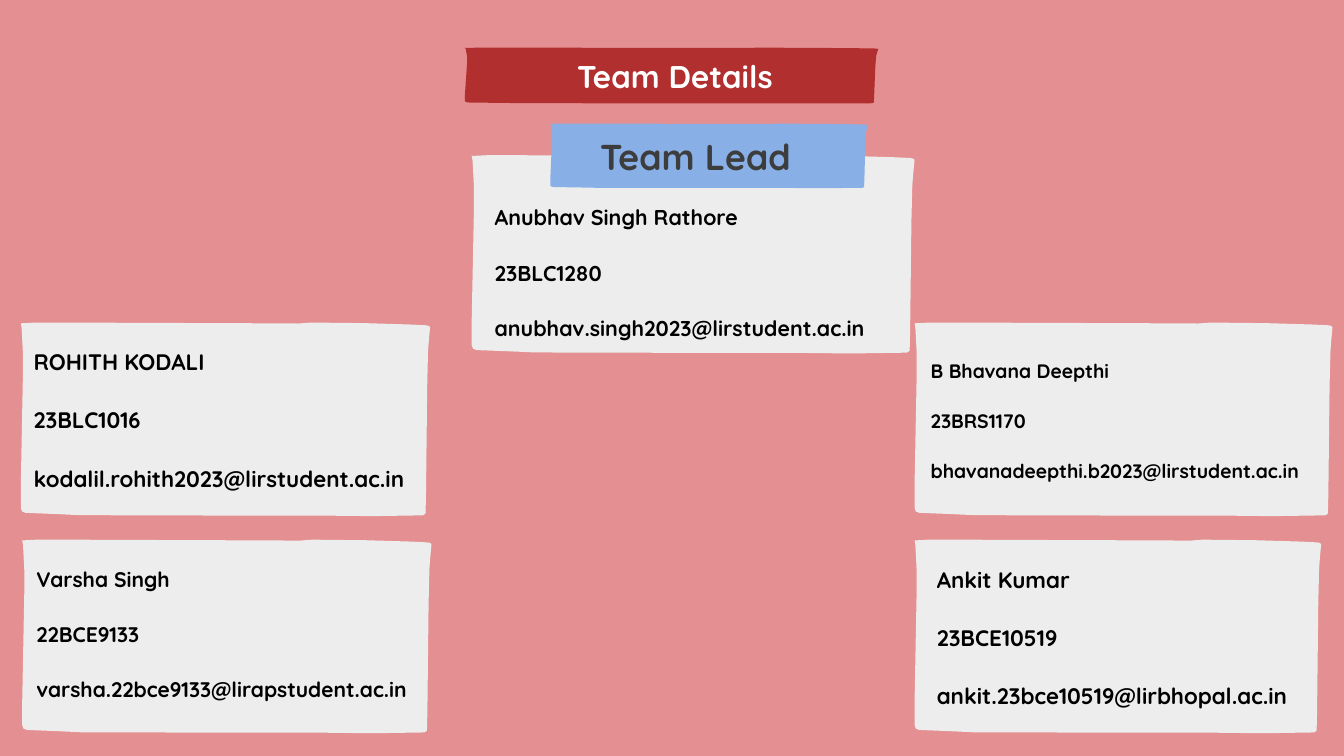
"""Build the team details slide with its lead and member cards."""
from pptx import Presentation
from pptx.dml.color import RGBColor
from pptx.enum.text import PP_ALIGN
from pptx.util import Pt

CENTER = PP_ALIGN.CENTER
JUSTIFY = PP_ALIGN.JUSTIFY

PINK = RGBColor(0xE4, 0x8F, 0x91)
RED = RGBColor(0xB2, 0x2F, 0x30)
BLUE = RGBColor(0x88, 0xB0, 0xE6)
PAPER = RGBColor(0xED, 0xED, 0xED)
WHITE = RGBColor(0xFF, 0xFF, 0xFF)
CHARCOAL = RGBColor(0x3D, 0x3D, 0x3D)
BLACK = RGBColor(0x00, 0x00, 0x00)

FONT = "Quicksand"
LINE_FACTOR = 1.3
CARD_HEIGHT = 207.4
UPPER_ROW, LOWER_ROW = 345.6, 578.2
RIGHT_COLUMN = 979.9

TORN_EDGE = (
    (997, 17), (989, 14), (951, 10), (839, 3), (709, 0), (678, 5), (614, 4),
    (476, 3), (108, 0), (34, 0), (0, 4), (2, 28), (5, 153), (5, 281),
    (0, 830), (0, 958), (3, 976), (11, 983), (94, 990), (143, 995),
    (499, 997), (729, 997), (857, 1000), (982, 996), (985, 993), (989, 986),
    (990, 892), (993, 330), (995, 150), (997, 94), (1000, 24),
)

MEMBERS = (
    ((22.3, UPPER_ROW, 438.5), (36, 370.8, 414), 24,
     ("ROHITH KODALI", "23BLC1016", "kodalil.rohith2023@lirstudent.ac.in")),
    ((RIGHT_COLUMN, LOWER_ROW, 435.6), (1003.7, 604.1, 392.4), 24,
     ("Ankit Kumar", "23BCE10519", "ankit.23bce10519@lirbhopal.ac.in")),
    ((RIGHT_COLUMN, UPPER_ROW, 447.8), (997.2, 382.3, 443.5), 20.8,
     ("B Bhavana Deepthi", "23BRS1170",
      "bhavanadeepthi.b2023@lirstudent.ac.in")),
    ((23.8, LOWER_ROW, 438.5), (38.9, 604.8, 411.1), 22.6,
     ("Varsha Singh", "22BCE9133", "varsha.22bce9133@lirapstudent.ac.in")),
)


def add_paper(slide, left, top, width, height, color):
    """Draw a torn paper strip that fills the given box."""
    corners = [(Pt(left + width * x / 1000), Pt(top + height * y / 1000))
               for x, y in TORN_EDGE]
    builder = slide.shapes.build_freeform(*corners[0])
    builder.add_line_segments(corners[1:], close=True)
    paper = builder.convert_to_shape()
    paper.shadow.inherit = False
    paper.fill.solid()
    paper.fill.fore_color.rgb = color
    paper.line.fill.background()


def add_text(slide, lines, left, top, width, *, size, color=BLACK,
             align=JUSTIFY):
    """Write bold lines, each one empty line apart."""
    pitch = round(size * LINE_FACTOR, 1)
    height = pitch * (2 * len(lines) - 1)
    box = slide.shapes.add_textbox(Pt(left), Pt(top), Pt(width), Pt(height))
    frame = box.text_frame
    frame.word_wrap = True
    frame.margin_left = frame.margin_right = 0
    frame.margin_top = frame.margin_bottom = 0
    for index, line in enumerate(lines):
        paragraph = frame.add_paragraph() if index else frame.paragraphs[0]
        paragraph.alignment = align
        paragraph.line_spacing = Pt(pitch)
        paragraph.space_before = Pt(pitch if index else 0)
        run = paragraph.add_run()
        run.text = line
        run.font.name = FONT
        run.font.size = Pt(size)
        run.font.bold = True
        run.font.color.rgb = color


def add_title(slide):
    """Add the red title banner."""
    add_paper(slide, 498.2, 51.1, 442.8, 59.8, RED)
    add_text(slide, ("Team Details",), 526.3, 57.6, 393.8, size=33.6,
             color=WHITE, align=CENTER)


def add_lead(slide):
    """Add the team lead card with its blue label."""
    add_paper(slide, 505.4, 166.3, 474.5, 212.4, PAPER)
    add_paper(slide, 589.7, 132.5, 339.8, 69.1, BLUE)
    add_text(slide, ("Team Lead",), 593.3, 140.4, 303.8, size=38.5,
             color=CHARCOAL, align=CENTER)
    details = ("Anubhav Singh Rathore", "23BLC1280",
               "anubhav.singh2023@lirstudent.ac.in")
    add_text(slide, details, 529.9, 216, 425.5, size=23)


def main():
    """Build and save the slide."""
    deck = Presentation()
    deck.slide_width, deck.slide_height = Pt(1440), Pt(810)
    slide = deck.slides.add_slide(deck.slide_layouts[6])
    slide.background.fill.solid()
    slide.background.fill.fore_color.rgb = PINK
    add_title(slide)
    add_lead(slide)
    for card, text_area, size, details in MEMBERS:
        add_paper(slide, *card, CARD_HEIGHT, PAPER)
        add_text(slide, details, *text_area, size=size)
    deck.save("out.pptx")


if __name__ == "__main__":
    main()
